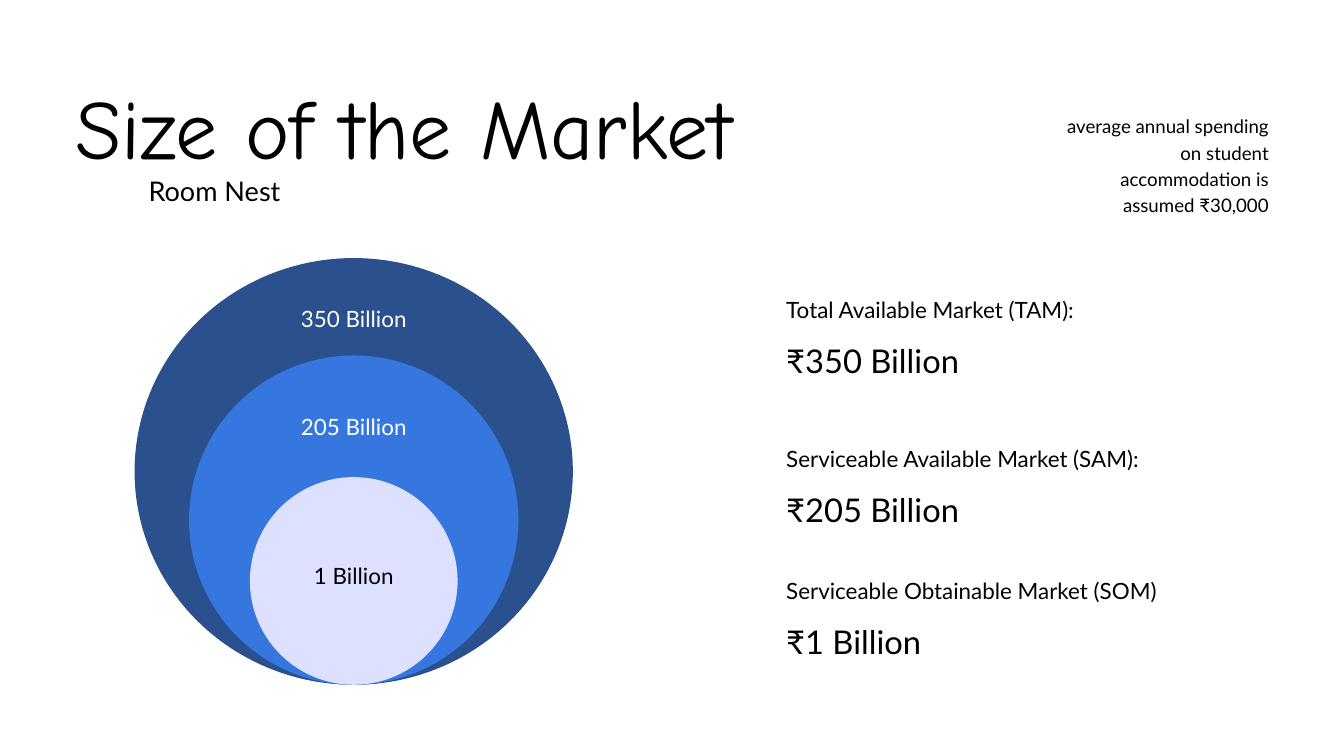
import pptx
import pptx.util
import pptx.dml.color
import pptx.enum.shapes
import pptx.enum.text

Pt = pptx.util.Pt
ALIGN = pptx.enum.text.PP_ALIGN

COLORS = {
    "navy": "2A508D",
    "blue": "3677DF",
    "lavender": "DDE1FF",
    "white": "FFFFFF",
    "black": "000000",
}

TITLE = "Size of the Market"
COMPANY = "Room Nest"
ASSUMPTION = "average annual spending on student accommodation is assumed ₹30,000"

# name, amount, top of name, circle width, circle height, circle colour, label top, label colour
MARKETS = [
    {"name": "Total Available Market (TAM):", "amount": "350 Billion", "top": 314.6,
     "circle": (469.6, 457.2), "fill": "navy", "label_top": 324.7, "label_color": "white"},
    {"name": "Serviceable Available Market (SAM):", "amount": "205 Billion", "top": 474.2,
     "circle": (352.8, 352.8), "fill": "blue", "label_top": 440.6, "label_color": "white"},
    {"name": "Serviceable Obtainable Market (SOM)", "amount": "1 Billion", "top": 615.6,
     "circle": (222.5, 222.5), "fill": "lavender", "label_top": 599.8, "label_color": "black"},
]

CIRCLE_CENTER = 379
CIRCLE_BOTTOM = 733.7
LABEL_WIDTH = 178
LIST_LEFT = 842.4
LIST_WIDTH = 517
AMOUNT_OFFSET = 46.8


def rgb(name):
    return pptx.dml.color.RGBColor.from_string(COLORS[name])


def add_text(slide, text, left, top, width, height, size, spacing,
             font="Lato", color="black", align=ALIGN.LEFT):
    box = slide.shapes.add_textbox(Pt(left), Pt(top), Pt(width), Pt(height))
    frame = box.text_frame
    frame.word_wrap = True
    frame.auto_size = pptx.enum.text.MSO_AUTO_SIZE.SHAPE_TO_FIT_TEXT
    frame.margin_left = frame.margin_right = frame.margin_top = frame.margin_bottom = 0
    paragraph = frame.paragraphs[0]
    paragraph.alignment = align
    paragraph.line_spacing = Pt(spacing)
    run = paragraph.add_run()
    run.text = text
    run.font.name = font
    run.font.size = Pt(size)
    run.font.color.rgb = rgb(color)


def add_circle(slide, width, height, fill):
    circle = slide.shapes.add_shape(
        pptx.enum.shapes.MSO_SHAPE.OVAL, Pt(CIRCLE_CENTER - width / 2),
        Pt(CIRCLE_BOTTOM - height), Pt(width), Pt(height))
    circle.shadow.inherit = False
    circle.fill.solid()
    circle.fill.fore_color.rgb = rgb(fill)
    circle.line.fill.background()


def main():
    deck = pptx.Presentation()
    deck.slide_width, deck.slide_height = Pt(1440), Pt(810)
    slide = deck.slides.add_slide(deck.slide_layouts[6])

    add_text(slide, TITLE, 80.6, 80.6, 864.7, 107.3, 90, 108, font="Comic Neue")
    for market in MARKETS:
        add_circle(slide, *market["circle"], market["fill"])
    for market in MARKETS:
        add_text(slide, market["amount"], CIRCLE_CENTER - LABEL_WIDTH / 2, market["label_top"],
                 LABEL_WIDTH, 31, 24, 31.2, color=market["label_color"], align=ALIGN.CENTER)
        add_text(slide, market["name"], LIST_LEFT, market["top"], LIST_WIDTH, 31.7, 24, 31.2)
        add_text(slide, "₹" + market["amount"], LIST_LEFT, market["top"] + AMOUNT_OFFSET,
                 LIST_WIDTH, 43.9, 35, 45.5)
    add_text(slide, ASSUMPTION, 1134, 119.5, 225.4, 110.2, 20, 28, align=ALIGN.RIGHT)
    add_text(slide, COMPANY, 159.1, 181.4, 282.2, 37.4, 29, 40.6)

    deck.save("out.pptx")


if __name__ == "__main__":
    main()
